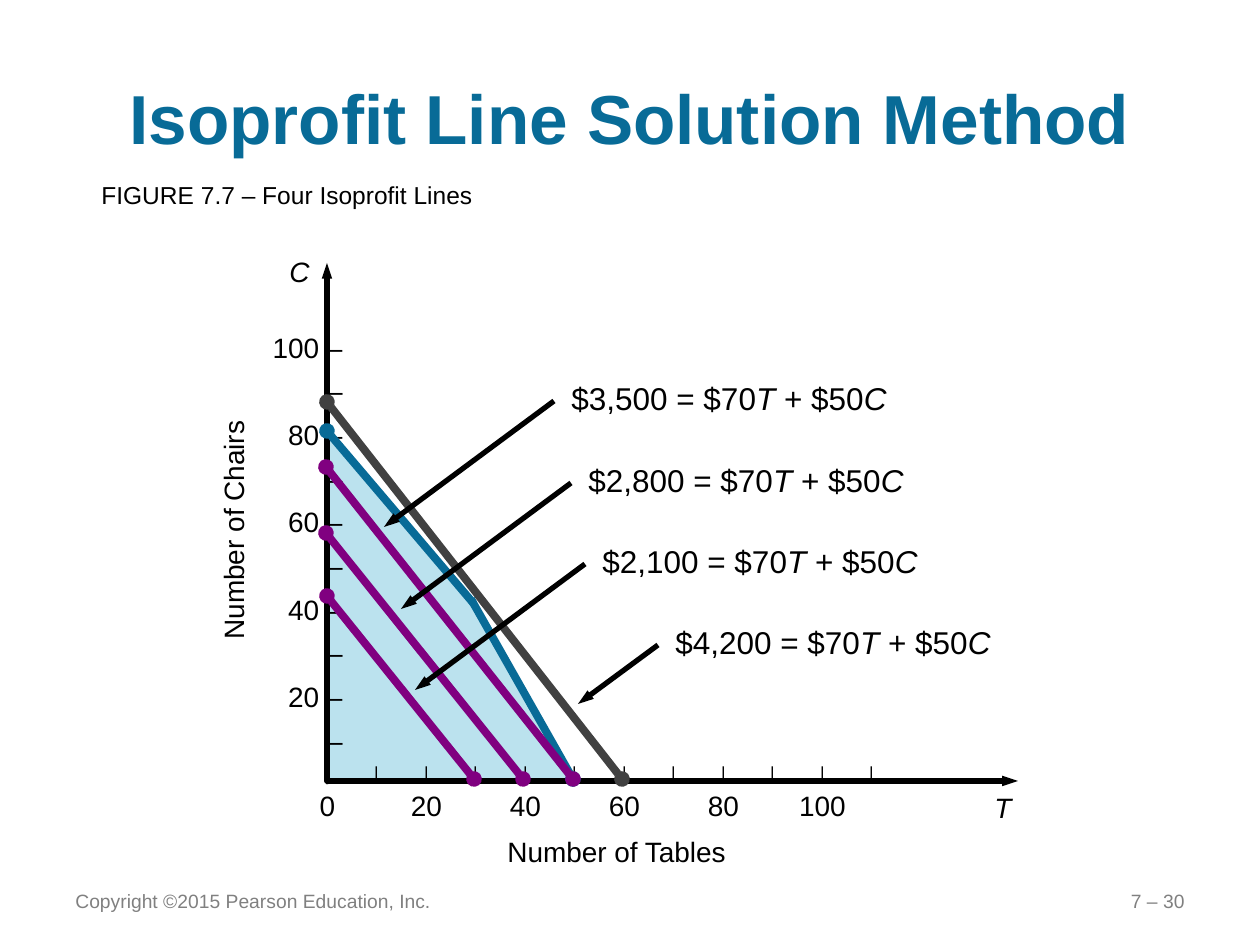
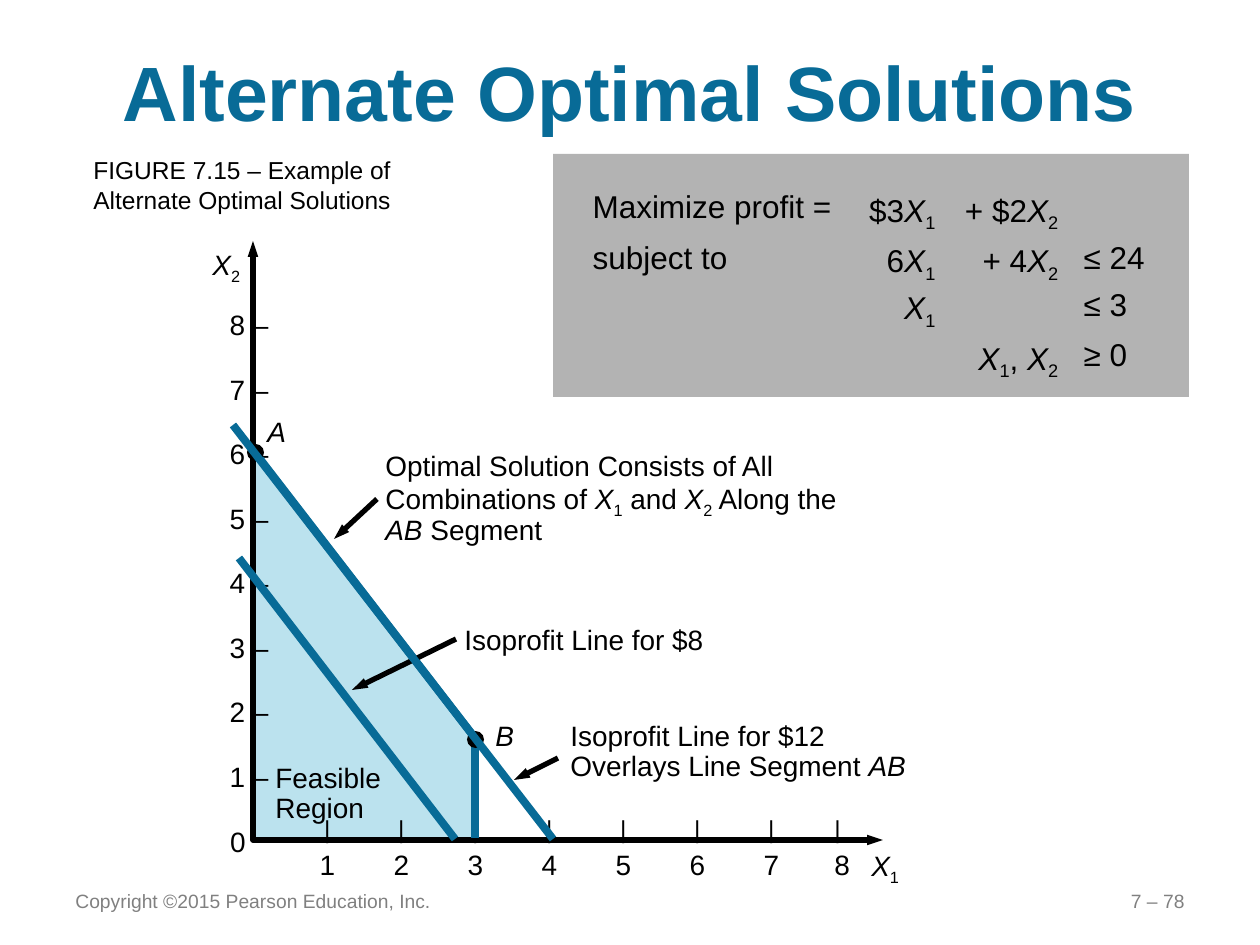
from lxml import etree
from pptx import Presentation
from pptx.dml.color import RGBColor
from pptx.enum.shapes import MSO_CONNECTOR, MSO_SHAPE
from pptx.enum.text import MSO_ANCHOR, MSO_AUTO_SIZE, PP_ALIGN
from pptx.oxml.ns import qn
from pptx.util import Pt

PX = 914400 / 126
FONT = "Arial"
BLUE, PALE, BLACK, PURPLE = "086B97", "BBE2EE", "000000", "800080"
DARK, GRAY, PANEL = "414141", "808080", "B3B3B3"
LEFT, MID, RIGHT = PP_ALIGN.LEFT, PP_ALIGN.CENTER, PP_ALIGN.RIGHT
TOP, CENTER = MSO_ANCHOR.TOP, MSO_ANCHOR.MIDDLE
FIT = MSO_AUTO_SIZE.SHAPE_TO_FIT_TEXT
RECT, OVAL, LINE = MSO_SHAPE.RECTANGLE, MSO_SHAPE.OVAL, MSO_CONNECTOR.STRAIGHT
PLAIN = "{2D5ABB26-0587-4C30-8999-92F81FD0307C}"


def px(size):
    """Turn px into EMU."""
    return round(size * PX)


def paint(target, color):
    """Give a fill, line fill or font its colour."""
    if hasattr(target, "solid"):
        target.solid()
        target = target.fore_color
    else:
        target = target.color
    target.rgb = RGBColor.from_string(color)


def style(run, size, color=BLACK, bold=False, slant=False, sub=False):
    """Format one run."""
    run.font.name, run.font.size = FONT, Pt(size)
    run.font.bold, run.font.italic = bold, slant
    paint(run.font, color)
    if sub:
        run._r.get_or_add_rPr().set("baseline", "-25000")


def write(para, text, size, color=BLACK, bold=False):
    """Add text in which ~ encloses italics and _ encloses subscripts."""
    for i, part in enumerate(text.split("~")):
        for j, piece in enumerate(part.split("_")):
            if piece:
                run = para.add_run()
                run.text = piece
                style(run, size, color, bold, i % 2 == 1, j % 2 == 1)


def note(slide, box, lines, size=16, color=BLACK, bold=False, align=LEFT,
         gap=None, wrap=False, anchor=TOP, turn=0):
    """Add a text box with one paragraph per line."""
    shape = slide.shapes.add_textbox(*map(px, box))
    frame = shape.text_frame
    frame.word_wrap, frame.vertical_anchor = wrap, anchor
    if not wrap:
        frame.auto_size = FIT
    shape.rotation = turn
    for i, line in enumerate(lines):
        para = frame.add_paragraph() if i else frame.paragraphs[0]
        para.alignment = align
        if gap:
            para.line_spacing = gap
        write(para, line, size, color, bold)
    return shape


def ends(shape, head, tail):
    """Set the marks at both ends of a line."""
    line = shape.line._get_or_add_ln()
    for tag, kind in (("a:headEnd", head), ("a:tailEnd", tail)):
        if kind:
            size = "sm" if kind == "oval" else "med"
            etree.SubElement(line, qn(tag), type=kind, w="sm", len=size)


def stroke(slide, x, y, start, stop, color=BLACK, width=3, head=None, tail=None):
    """Draw a straight line between two points seen from x, y."""
    line = slide.shapes.add_connector(
        LINE, px(x + start[0]), px(y + start[1]), px(x + stop[0]), px(y + stop[1]))
    paint(line.line.fill, color)
    line.line.width = Pt(width)
    etree.SubElement(line._element.spPr, qn("a:effectLst"))
    ends(line, head, tail)


def arrow(slide, x, y, start, stop):
    """Draw a black pointer."""
    stroke(slide, x, y, start, stop, tail="triangle")


def outline(slide, x, y, points, fill=None, color=None, width=3):
    """Draw a filled area or an open path seen from x, y."""
    form = slide.shapes.build_freeform(*points[0], scale=PX)
    form.add_line_segments(points[1:], close=bool(fill))
    shape = form.convert_to_shape(px(x), px(y))
    shape.shadow.inherit = False
    if fill:
        paint(shape.fill, fill)
        shape.line.fill.background()
    else:
        shape.fill.background()
        paint(shape.line.fill, color)
        shape.line.width = Pt(width)
    return shape


def solid(slide, kind, box, color):
    """Add a preset shape in one colour."""
    shape = slide.shapes.add_shape(kind, *map(px, box))
    shape.shadow.inherit = False
    paint(shape.fill, color)
    shape.line.fill.background()


def axes(slide, x, y, wide, high):
    """Draw both axes from the origin x, y."""
    path = outline(slide, x, y, [(0, -high), (0, 0), (wide, 0)], color=BLACK)
    ends(path, "triangle", "triangle")


def ticks(slide, x, y, wide, stops, marks, names):
    """Set the marks and numbers of the level axis on tab stops."""
    box = note(slide, (x - 61, y - 39, wide, 87), ["", ""], gap=1.1)
    for para, runs in zip(box.text_frame.paragraphs, (marks, [(names, 16)])):
        tabs = etree.SubElement(para._p.get_or_add_pPr(), qn("a:tabLst"))
        for stop in stops:
            etree.SubElement(tabs, qn("a:tab"), pos=str(px(stop)), algn="ctr")
        for text, size in runs:
            write(para, text, size)


def base(deck, title, size, anchor, page):
    """Start a slide with its title and footer."""
    slide = deck.slides.add_slide(deck.slide_layouts[6])
    note(slide, (63, 38, 1134, 158), [title], size, BLUE, True, MID,
         wrap=True, anchor=anchor)
    note(slide, (63, 876, 388, 50), ["Copyright ©2015 Pearson Education, Inc."],
         11, GRAY, wrap=True, anchor=CENTER)
    note(slide, (903, 876, 294, 50), [page], 11, GRAY, align=RIGHT,
         wrap=True, anchor=CENTER)
    return slide


def profit(slide, x, y):
    """Plot four isoprofit lines from the origin x, y."""
    outline(slide, x, y, [(0, -350), (0, 0), (248, 0), (147, -179)], PALE)
    axes(slide, x, y, 691, 518)
    scale = [f"{n} –" if n % 20 == 0 else "–" for n in range(100, 0, -10)]
    note(slide, (x - 123, y - 467, 151, 496), scale, align=RIGHT, gap=1.3)
    ticks(slide, x, y, 622, [49 + 99 * i // 2 for i in range(12)],
          [("\t", 16), ("|\t", 14), ("\t".join("|" * 11), 10)],
          "\t" + "\t\t".join(str(n) for n in range(0, 101, 20)))
    note(slide, (x - 50, y - 533, 54, 47), ["~C~"])
    note(slide, (x + 655, y + 3, 49, 47), ["~T~"])
    note(slide, (x - 217, y - 276, 247, 47), ["Number of Chairs"], turn=270)
    note(slide, (x + 168, y + 47, 247, 47), ["Number of Tables"])
    for start, stop, color, head, tail in (
            ((0, -350), (147, -177), BLUE, "oval", None),
            ((144, -182), (246, -2), BLUE, None, "oval"),
            ((0, -185), (147, -2), PURPLE, "oval", "oval"),
            ((-1, -248), (196, -2), PURPLE, "oval", "oval"),
            ((-1, -314), (246, -2), PURPLE, "oval", "oval"),
            ((0, -379), (295, -2), DARK, "oval", "oval")):
        stroke(slide, x, y, start, stop, color, 4.5, head, tail)
    for sum_, left, top, run, drop in (
            ("2,100", 263, -245, 170, 126), ("2,800", 249, -326, 170, 126),
            ("3,500", 232, -408, 170, 126), ("4,200", 336, -164, 80, 59)):
        note(slide, (x + left, y + top, 350, 50), [f"${sum_} = $70~T~ + $50~C~"], 18)
        tip = left - 5, top + 28
        arrow(slide, x, y, tip, (tip[0] - run, tip[1] + drop))


def model(slide, x, y):
    """Show the objective and its limits on a panel."""
    solid(slide, RECT, (x, y, 636, 243), PANEL)
    rows = (("Maximize profit =", "$3~X~_1_", "+ $2~X~_2_", ""),
            ("subject to", "6~X~_1_", "+ 4~X~_2_", "≤ 24"),
            ("", "~X~_1_", "", "≤ 3"),
            ("", "", "~X~_1_, ~X~_2_", "≥ 0"))
    wides = (266, 102, 123, 89)
    frame = slide.shapes.add_table(
        4, 4, px(x + 27), px(y + 36), px(sum(wides)), px(4 * 27))
    table = frame.table
    table.first_row = table.horz_banding = False
    table._tbl.tblPr.find(qn("a:tableStyleId")).text = PLAIN
    for col, wide in zip(table.columns, wides):
        col.width = px(wide)
    for i, row in enumerate(rows):
        for j, text in enumerate(row):
            cell = table.cell(i, j)
            cell.fill.background()
            para = cell.text_frame.paragraphs[0]
            para.line_spacing = 0.8
            para.alignment = RIGHT if j in (1, 2) else LEFT
            write(para, text, 18)


def region(slide, x, y):
    """Plot the feasible region and its optimal edge from the origin x, y."""
    edge = [(0, -390), (222, -102), (222, -2)]
    outline(slide, x, y, edge + [(0, -2)], PALE)
    note(slide, (x - 36, y - 569, 64, 530), [f"{n} –" for n in range(8, 0, -1)],
         align=RIGHT, gap=1.92)
    note(slide, (x - 47, y - 22, 52, 47), ["0"], align=RIGHT)
    axes(slide, x, y, 630, 599)
    ticks(slide, x, y, 742, [49 + 74 * i for i in range(8)],
          [("\t", 16), ("\t" + "\t".join("|" * 8), 14)],
          "\t\t" + "\t".join("12345678"))
    note(slide, (x - 53, y - 599, 60, 47), ["~X~_2_"])
    note(slide, (x + 606, y + 2, 60, 47), ["~X~_1_"])
    for box, text in (
            ((10, -82, 142, 74), "Feasible Region"),
            ((120, -394, 485, 103), "Optimal Solution Consists of All Combinations "
             "of ~X~_1_ and ~X~_2_ Along the ~AB ~Segment"),
            ((305, -124, 387, 74),
             "Isoprofit Line for $12 Overlays Line Segment ~AB~")):
        note(slide, (x + box[0], y + box[1], *box[2:]), [text], gap=0.9, wrap=True)
    note(slide, (x + 199, y - 224, 267, 47), ["Isoprofit Line for $8"])
    arrow(slide, x, y, (124, -341), (81, -301))
    arrow(slide, x, y, (305, -82), (261, -60))
    outline(slide, x, y, edge, color=BLUE, width=4.5)
    for name, left, top, dot in (("B", 230, -128, (214, -109)),
                                 ("A", 2, -432, (-6, -396))):
        note(slide, (x + left, y + top, 53, 47), [f"~{name}~"])
        solid(slide, OVAL, (x + dot[0], y + dot[1], 17, 17), BLACK)
    stroke(slide, x, y, (-14, -282), (202, -1), BLUE, 4.5)
    arrow(slide, x, y, (203, -201), (99, -150))
    stroke(slide, x, y, (-20, -415), (300, -1), BLUE, 4.5)


def main():
    """Build and save both slides."""
    deck = Presentation()
    deck.slide_width, deck.slide_height = px(1260), px(945)
    slide = base(deck, "Isoprofit Line Solution Method", 39.6, CENTER, "7 – 30")
    note(slide, (89, 174, 399, 43), ["FIGURE 7.7 – Four Isoprofit Lines"], 14)
    profit(slide, 327, 781)
    slide = base(deck, "Alternate Optimal Solutions", 44, TOP, "7 – 78")
    note(slide, (81, 149, 365, 72),
         ["FIGURE 7.15 – Example of Alternate Optimal Solutions"], 14, wrap=True)
    model(slide, 553, 154)
    region(slide, 253, 840)
    deck.save("out.pptx")


if __name__ == "__main__":
    main()
